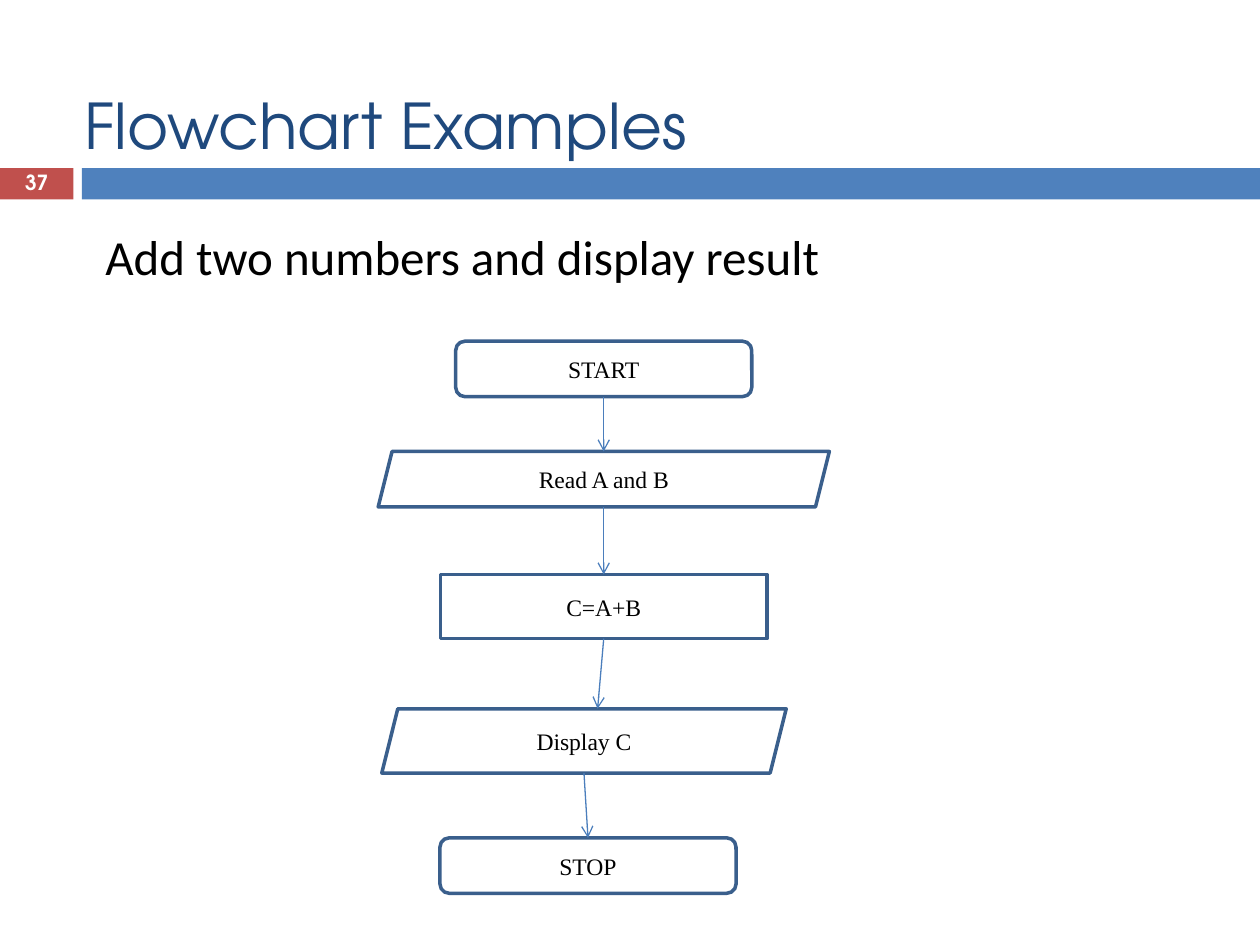
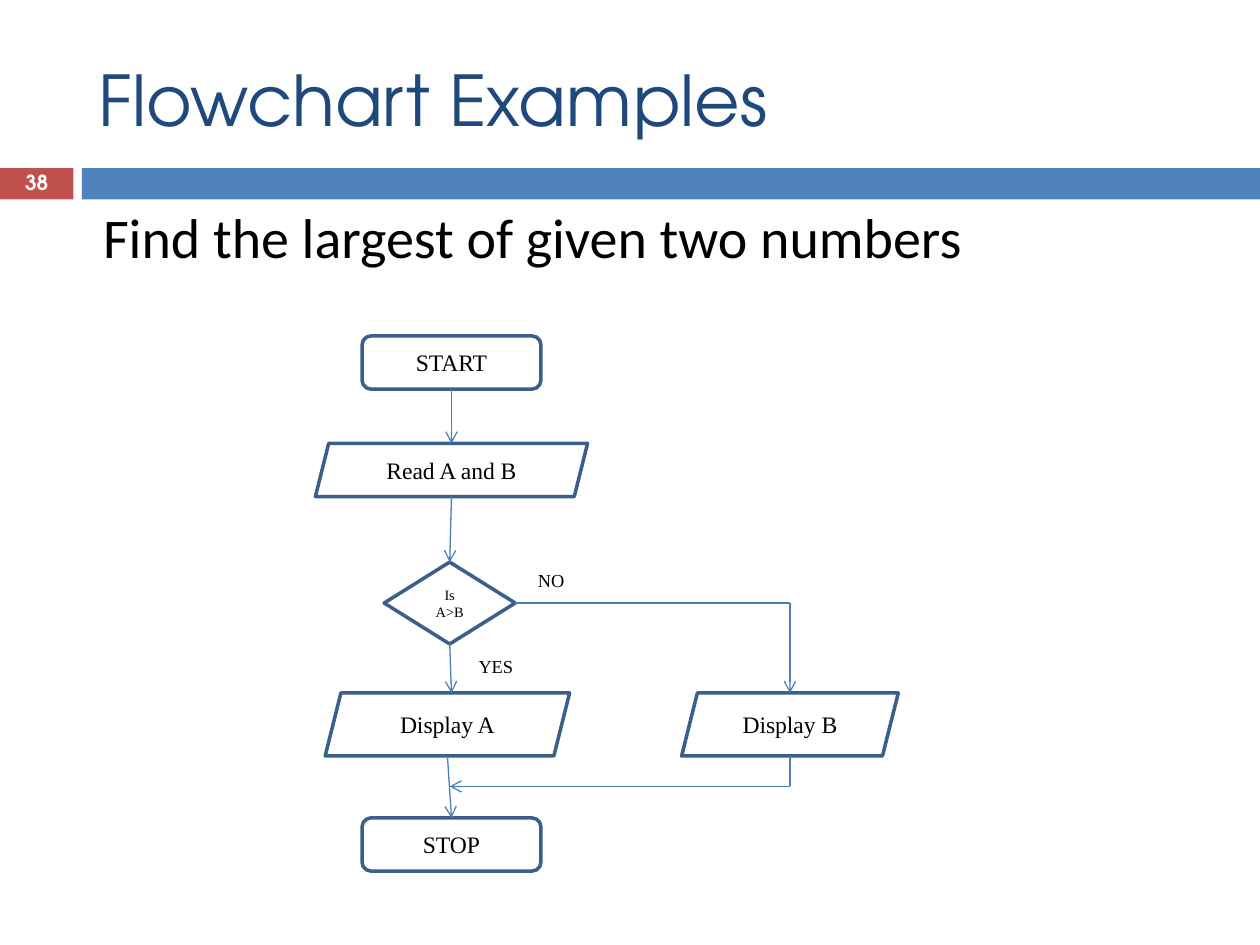
import pptx
import pptx.util
import pptx.dml.color
import pptx.enum.shapes
import pptx.enum.text
import pptx.oxml.ns
import lxml.etree

Pt = pptx.util.Pt
RGB = pptx.dml.color.RGBColor
SHAPE = pptx.enum.shapes.MSO_SHAPE
ALIGN = pptx.enum.text.PP_ALIGN
MIDDLE = pptx.enum.text.MSO_ANCHOR.MIDDLE
qn = pptx.oxml.ns.qn

RED = RGB(0xC0, 0x50, 0x4D)
BLUE = RGB(0x4F, 0x81, 0xBD)
NAVY = RGB(0x1F, 0x49, 0x7D)
OUTLINE = RGB(0x3A, 0x5F, 0x8C)
ARROW = RGB(0x4B, 0x7E, 0xBC)
BLACK = RGB(0, 0, 0)
WHITE = RGB(0xFF, 0xFF, 0xFF)

HEAD_FONT = "TeX Gyre Adventor"
BODY_FONT = "Calibri"
CHART_FONT = "Times New Roman"
TOP, BOTTOM, RIGHT = 0, 2, 3
BAND_TOP, BAND_H = 96, 18


def style(p, font, size, color, align=None, bold=False):
    """Set the font and alignment of a paragraph."""
    p.alignment = align
    p.font.name, p.font.size, p.font.bold = font, Pt(size), bold
    p.font.color.rgb = color


def add_band(s, left, width, color):
    """Add one filled strip below the title."""
    sp = s.shapes.add_shape(SHAPE.RECTANGLE, Pt(left), Pt(BAND_TOP), Pt(width), Pt(BAND_H))
    sp.shadow.inherit = False
    sp.fill.solid()
    sp.fill.fore_color.rgb = color
    sp.line.fill.background()


def add_text(s, text, box, font, size, color, align=None, bold=False):
    """Add a one-paragraph text box and return its text frame."""
    tf = s.shapes.add_textbox(*map(Pt, box)).text_frame
    tf.word_wrap = True
    tf.text = text
    style(tf.paragraphs[0], font, size, color, align, bold)
    return tf


def add_slide(prs, number, title_box, title_size, title_align):
    """Add a slide with its bands, number and title."""
    s = prs.slides.add_slide(prs.slide_layouts[5])
    add_band(s, 0, 42, RED)
    add_band(s, 46.8, 673.2, BLUE)
    tf = add_text(s, str(number), (0, BAND_TOP, 42, 19.4), HEAD_FONT, 11.9, WHITE,
                  ALIGN.CENTER, True)
    tf.vertical_anchor = MIDDLE
    tf.paragraphs[0].line_spacing = 0.8
    title = s.shapes.title
    title.left, title.top, title.width, title.height = map(Pt, title_box)
    tf = title.text_frame
    tf.text = "Flowchart Examples"
    tf.auto_size = pptx.enum.text.MSO_AUTO_SIZE.NONE
    tf.vertical_anchor = MIDDLE
    style(tf.paragraphs[0], HEAD_FONT, title_size, NAVY, title_align)
    return s


def add_task(s, text, box, size, align):
    """Add the line that states the task of the flowchart."""
    p = add_text(s, text, box, BODY_FONT, size, BLACK, align).paragraphs[0]
    p.space_before = Pt(7)
    p._p.get_or_add_pPr().set("marL", str(Pt(5)))


def add_node(s, kind, text, cx, top, width, height, size=13.5):
    """Add an outlined flowchart symbol centred on cx."""
    sp = s.shapes.add_shape(kind, Pt(cx - width / 2), Pt(top), Pt(width), Pt(height))
    sp.shadow.inherit = False
    sp.fill.background()
    sp.line.color.rgb = OUTLINE
    sp.line.width = Pt(2)
    tf = sp.text_frame
    tf.margin_left = tf.margin_right = tf.margin_top = tf.margin_bottom = 0
    tf.vertical_anchor = MIDDLE
    tf.text = text
    for p in tf.paragraphs:
        style(p, CHART_FONT, size, BLACK, ALIGN.CENTER)
    return sp


def add_link(s, start, end, begin=None, finish=None, arrow=True):
    """Draw a line, joined to a (shape, site) pair where one is given."""
    c = s.shapes.add_connector(pptx.enum.shapes.MSO_CONNECTOR.STRAIGHT,
                               *map(Pt, start + end))
    if begin:
        c.begin_connect(*begin)
    if finish:
        c.end_connect(*finish)
    c.line.color.rgb = ARROW
    c.line.width = Pt(0.75)
    if arrow:
        lxml.etree.SubElement(c.line._get_or_add_ln(), qn("a:tailEnd"), type="arrow")
    lxml.etree.SubElement(c._element.spPr, qn("a:effectLst"))


def add_sum_slide(prs):
    """Build the flowchart that adds two numbers."""
    s = add_slide(prs, 37, (41, 44.6, 442.8, 52.6), 36, ALIGN.LEFT)
    add_task(s, "Add two numbers and display result", (48.2, 126, 630, 37.4), 28,
             ALIGN.JUSTIFY)
    start = add_node(s, SHAPE.ROUNDED_RECTANGLE, "START", 345, 195, 169.2, 31.7)
    add_node(s, SHAPE.PARALLELOGRAM, "Read A and B", 345, 258, 257.8, 31.7)
    total = add_node(s, SHAPE.RECTANGLE, "C=A+B", 345, 328.3, 186.5, 36.7)
    add_node(s, SHAPE.PARALLELOGRAM, "Display C", 333.7, 405, 231.1, 36.7)
    stop = add_node(s, SHAPE.ROUNDED_RECTANGLE, "STOP", 336, 478.8, 169.2, 31.7)
    add_link(s, (345, 226.7), (345, 258), begin=(start, BOTTOM))
    add_link(s, (345, 289.7), (345, 328.3), finish=(total, TOP))
    add_link(s, (345, 365), (341.5, 405), begin=(total, BOTTOM))
    add_link(s, (333.7, 441.7), (336, 478.8), finish=(stop, TOP))


def add_largest_slide(prs):
    """Build the flowchart that finds the larger of two numbers."""
    s = add_slide(prs, 38, (49, 28, 442.8, 56.2), 40, ALIGN.JUSTIFY)
    add_task(s, "Find the largest of given two numbers", (46.8, 112.3, 613.4, 56.2), 32,
             ALIGN.LEFT)
    main_x, test_x, side_x = 258, 257, 451.4
    test_y, merge_y = 344.6, 449.4
    start = add_node(s, SHAPE.ROUNDED_RECTANGLE, "START", main_x, 192, 102.2, 30.4)
    add_node(s, SHAPE.PARALLELOGRAM, "Read A and B", main_x, 253.4, 155.5, 30.4)
    test = add_node(s, SHAPE.DIAMOND, "Is\nA>B", test_x, 321.2, 74.9, 46.8, 8.2)
    add_node(s, SHAPE.PARALLELOGRAM, "Display A", 255.7, 396, 139.7, 36)
    add_node(s, SHAPE.PARALLELOGRAM, "Display B", side_x, 396, 123.8, 36)
    stop = add_node(s, SHAPE.ROUNDED_RECTANGLE, "STOP", main_x, 467.4, 102.2, 30.4)
    add_link(s, (main_x, 222.4), (main_x, 253.4), begin=(start, BOTTOM))
    add_link(s, (main_x, 283.8), (test_x, 321.2), finish=(test, TOP))
    add_link(s, (test_x, 368), (main_x, 396), begin=(test, BOTTOM))
    add_link(s, (255.7, 432), (main_x, 467.4), finish=(stop, TOP))
    add_link(s, (294.5, test_y), (side_x, test_y), begin=(test, RIGHT), arrow=False)
    add_link(s, (side_x, test_y), (side_x, 396))
    add_link(s, (side_x, 432), (side_x, merge_y), arrow=False)
    add_link(s, (side_x, merge_y), (test_x, merge_y))
    for text, box in (("NO", (294.5, 321.8, 41, 20.2)), ("YES", (257.8, 370.8, 51, 20.2))):
        add_text(s, text, box, CHART_FONT, 10.5, BLACK, ALIGN.CENTER)


def main():
    """Build the two flowchart slides and save them."""
    prs = pptx.Presentation()
    prs.slide_width, prs.slide_height = Pt(720), Pt(540)
    add_sum_slide(prs)
    add_largest_slide(prs)
    prs.save("out.pptx")


if __name__ == "__main__":
    main()
